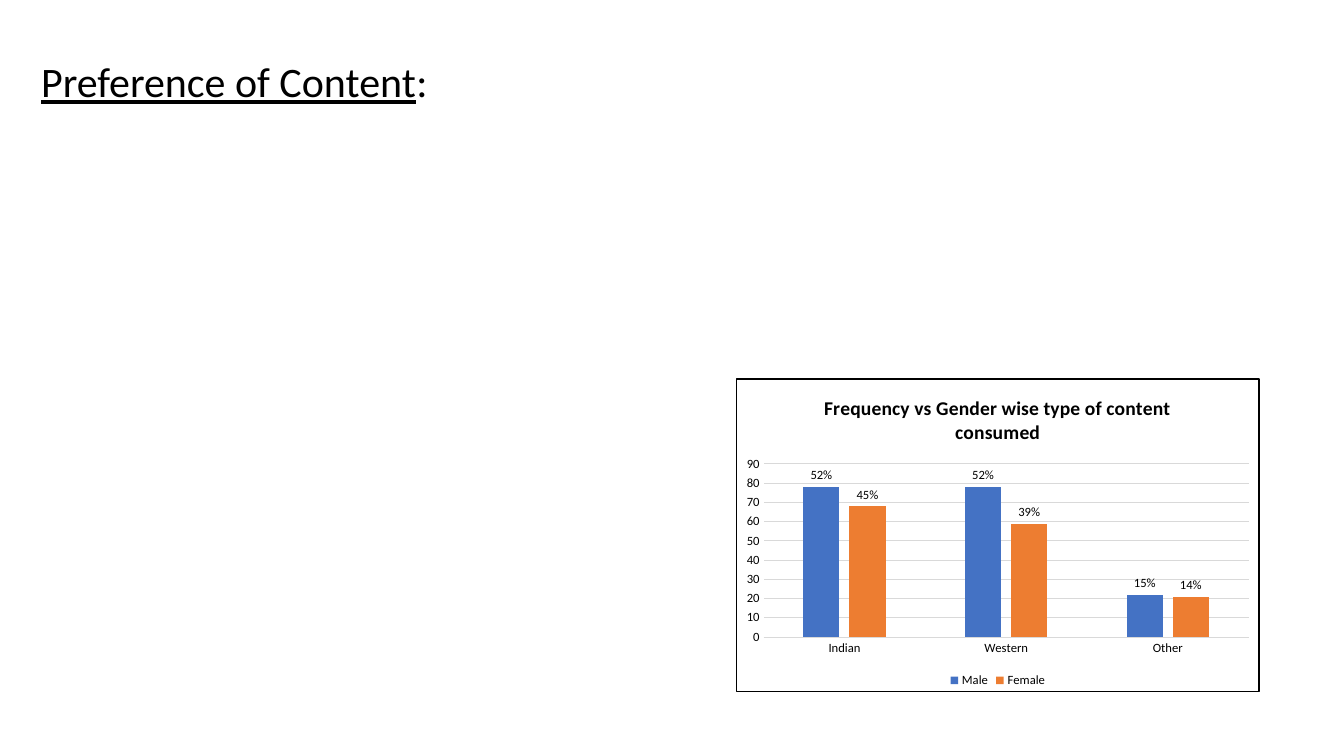
"""Build a slide comparing content preferences by gender."""
from lxml.etree import fromstring
from pptx import Presentation
from pptx.chart.data import CategoryChartData
from pptx.dml.color import RGBColor
from pptx.enum.chart import XL_CHART_TYPE, XL_LABEL_POSITION, XL_LEGEND_POSITION, XL_TICK_MARK
from pptx.enum.text import MSO_ANCHOR, MSO_AUTO_SIZE, PP_ALIGN
from pptx.util import Cm, Pt

BLACK = RGBColor(0x00, 0x00, 0x00)
WHITE = RGBColor(0xFF, 0xFF, 0xFF)
GRID_GREY = RGBColor(0xD9, 0xD9, 0xD9)
MALE_BLUE = RGBColor(0x44, 0x72, 0xC4)
FEMALE_ORANGE = RGBColor(0xED, 0x7D, 0x31)

CONTENT_TYPES = ["Indian", "Western", "Other"]
GENDERS = [
    ("Male", MALE_BLUE, [78, 78, 22], ["52%", "52%", "15%"]),
    ("Female", FEMALE_ORANGE, [68, 59, 21], ["45%", "39%", "14%"]),
]
FRAME = f"""<c:spPr xmlns:c="http://schemas.openxmlformats.org/drawingml/2006/chart"
 xmlns:a="http://schemas.openxmlformats.org/drawingml/2006/main">
<a:solidFill><a:srgbClr val="{WHITE}"/></a:solidFill>
<a:ln w="{Pt(1)}"><a:solidFill><a:srgbClr val="{BLACK}"/></a:solidFill></a:ln>
</c:spPr>"""


class SlideBuilder:
    """Hold the text style and the current slide."""

    def __init__(self, slide, font_name="Calibri", color=BLACK):
        self.slide = slide
        self.font_name = font_name
        self.color = color

    def style(self, font, size, bold=False):
        """Apply the common text style."""
        font.name = self.font_name
        font.size = Pt(size)
        font.bold = bold
        font.color.rgb = self.color

    def title(self, runs, left, top, width, height):
        """Place the title and add its runs with their underlining."""
        heading = self.slide.shapes.title
        heading.left, heading.top, heading.width, heading.height = left, top, width, height
        frame = heading.text_frame
        frame.word_wrap = True
        frame.auto_size = MSO_AUTO_SIZE.SHAPE_TO_FIT_TEXT
        frame.vertical_anchor = MSO_ANCHOR.TOP
        paragraph = frame.paragraphs[0]
        paragraph.alignment = PP_ALIGN.CENTER
        for text, underlined in runs:
            run = paragraph.add_run()
            run.text = text
            self.style(run.font, 30)
            run.font.underline = underlined

    def column_chart(self, caption, left, top, width, height):
        """Add the framed column chart with its percentage labels."""
        preferences = CategoryChartData()
        preferences.categories = CONTENT_TYPES
        for gender, _, counts, _ in GENDERS:
            preferences.add_series(gender, counts)
        chart = self.slide.shapes.add_chart(
            XL_CHART_TYPE.COLUMN_CLUSTERED, left, top, width, height, preferences
        ).chart
        self.style(chart.font, 10)
        chart.element.find("{*}chart").addnext(fromstring(FRAME))

        caption_run = chart.chart_title.text_frame.paragraphs[0].add_run()
        caption_run.text = caption
        self.style(caption_run.font, 14, bold=True)
        chart.chart_title.include_in_layout = False

        chart.has_legend = True
        chart.legend.position = XL_LEGEND_POSITION.BOTTOM
        chart.legend.include_in_layout = False
        self.style(chart.legend.font, 9)
        self.axes(chart)

        plot = chart.plots[0]
        plot.gap_width = 219
        plot.overlap = -27
        plot.vary_by_categories = False
        for series, (_, color, _, shares) in zip(plot.series, GENDERS):
            self.columns(series, color, shares)

    def axes(self, chart):
        """Format both axes and the gridlines."""
        for axis in (chart.category_axis, chart.value_axis):
            axis.major_tick_mark = XL_TICK_MARK.NONE
            axis.minor_tick_mark = XL_TICK_MARK.NONE
            self.style(axis.tick_labels.font, 9)
        counts_axis = chart.value_axis
        counts_axis.minimum_scale, counts_axis.maximum_scale = 0, 90
        counts_axis.major_unit = 10
        counts_axis.format.line.fill.background()
        for line in (chart.category_axis.format.line, counts_axis.major_gridlines.format.line):
            line.color.rgb = GRID_GREY
            line.width = Pt(0.75)

    def columns(self, series, color, shares):
        """Colour one series and label each column with its share."""
        series.format.fill.solid()
        series.format.fill.fore_color.rgb = color
        series.invert_if_negative = False
        labels = series.data_labels
        labels.show_value = True
        labels.position = XL_LABEL_POSITION.OUTSIDE_END
        self.style(labels.font, 9)
        for index, share in enumerate(shares):
            label = series.points[index].data_label
            run = label.text_frame.paragraphs[0].add_run()
            run.text = share
            self.style(run.font, 9)
            label.position = XL_LABEL_POSITION.OUTSIDE_END


def main():
    """Create and save the presentation."""
    deck = Presentation()
    deck.slide_width, deck.slide_height = Cm(33.87), Cm(19.05)
    builder = SlideBuilder(deck.slides.add_slide(deck.slide_layouts[5]))
    builder.title(
        [("Preference of Content", True), (":", False)],
        Cm(0.71), Cm(1.27), Cm(10.39), Cm(1.55),
    )
    builder.column_chart(
        "Frequency vs Gender wise type of content consumed",
        Cm(18.54), Cm(9.53), Cm(13.21), Cm(7.92),
    )
    deck.save("out.pptx")


if __name__ == "__main__":
    main()
